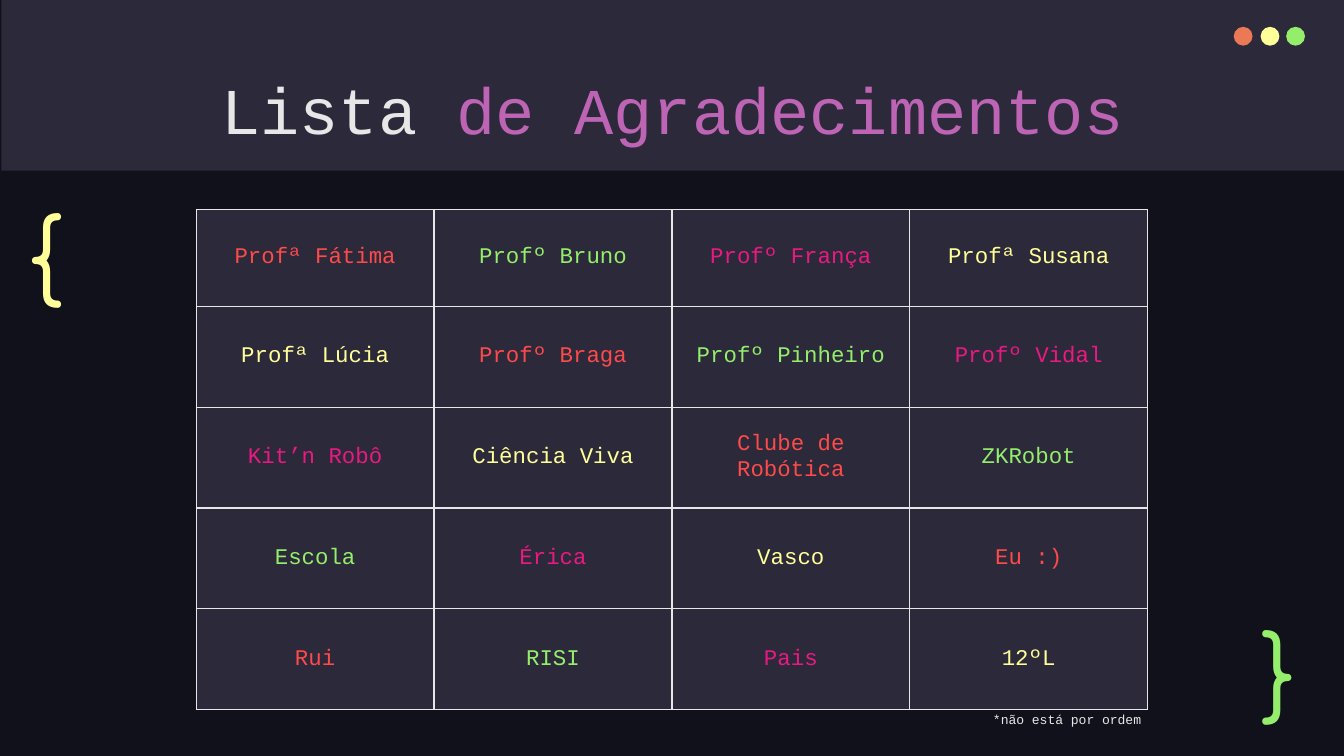
from pptx import Presentation
from pptx.dml.color import RGBColor
from pptx.enum.shapes import MSO_SHAPE as Shape
from pptx.enum.text import MSO_ANCHOR as Anchor, PP_ALIGN as Align
from pptx.oxml import parse_xml
from pptx.oxml.ns import nsdecls
from pptx.util import Inches, Pt

THEME = {
    "background": "10111A", "panel": "2C293A", "light": "E7E7E7",
    "purple": "BD64B5", "orange": "EC7955", "red": "FD4A4A",
    "green": "94EE6B", "pink": "E81A81", "yellow": "FFFF99",
    "code_font": "Courier New", "brace_font": "Comfortaa",
    "title_size": 35, "cell_size": 12, "brace_size": 50, "note_size": 7,
    "border": 0.75,
}

TITLE = [("Lista ", "light"), ("de Agradecimentos", "purple")]
THANKS = [
    [("Profª Fátima", "red"), ("Profº Bruno", "green"),
     ("Profº França", "pink"), ("Profª Susana", "yellow")],
    [("Profª Lúcia", "yellow"), ("Profº Braga", "red"),
     ("Profº Pinheiro", "green"), ("Profº Vidal", "pink")],
    [("Kit’n Robô", "pink"), ("Ciência Viva", "yellow"),
     ("Clube de Robótica", "red"), ("ZKRobot", "green")],
    [("Escola", "green"), ("Érica", "pink"),
     ("Vasco", "yellow"), ("Eu :)", "red")],
    [("Rui", "red"), ("RISI", "green"),
     ("Pais", "pink"), ("12ºL", "yellow")],
]
NOTE = [("*não está por ordem", "light")]
BRACES = [("{", "yellow", (0.11, 1.34, 0.77, 0.95)),
          ("}", "green", (9.29, 4.44, 0.57, 0.83))]
DOTS = [("orange", 9.18), ("yellow", 9.38), ("green", 9.57)]

SLIDE_WIDTH = 10
SLIDE_HEIGHT = SLIDE_WIDTH * 9 / 16
TABLE_LEFT, TABLE_TOP = 1.46, 1.56
COLUMN_WIDTH = 1.77
ROW_HEIGHTS = [0.72] + [0.75] * 4


def color(name):
    return RGBColor.from_string(THEME[name])


def add_shape(page, kind, area, fill):
    shape = page.shapes.add_shape(kind, *map(Inches, area))
    shape.shadow.inherit = False
    shape.fill.solid()
    shape.fill.fore_color.rgb = color(fill)
    shape.line.fill.background()


def write(para, runs, font, size, align):
    para.alignment = align
    para.font.name = THEME[font]
    para.font.size = Pt(THEME[size])
    for text, tone in runs:
        span = para.add_run()
        span.text = text
        span.font.color.rgb = color(tone)


def add_text(page, area, runs, font, size, align=Align.CENTER, anchor=Anchor.MIDDLE):
    box = page.shapes.add_textbox(*map(Inches, area))
    frame = box.text_frame
    frame.word_wrap = True
    frame.vertical_anchor = anchor
    frame.margin_left = frame.margin_right = Inches(0.1)
    frame.margin_top = frame.margin_bottom = Inches(0.1)
    write(frame.paragraphs[0], runs, font, size, align)


def add_borders(cell):
    properties = cell._tc.get_or_add_tcPr()
    for side in ("lnL", "lnR", "lnT", "lnB"):
        properties.append(parse_xml(
            f'<a:{side} {nsdecls("a")} w="{Pt(THEME["border"])}"><a:solidFill>'
            f'<a:srgbClr val="{THEME["light"]}"/></a:solidFill></a:{side}>'))


def add_thanks(page):
    columns = len(THANKS[0])
    table = page.shapes.add_table(
        len(THANKS), columns, Inches(TABLE_LEFT), Inches(TABLE_TOP),
        Inches(columns * COLUMN_WIDTH), Inches(sum(ROW_HEIGHTS))).table
    table.first_row = table.horz_banding = False
    for column in table.columns:
        column.width = Inches(COLUMN_WIDTH)
    for row, height in zip(table.rows, ROW_HEIGHTS):
        row.height = Inches(height)
    for cell, entry in zip(table.iter_cells(), sum(THANKS, [])):
        add_borders(cell)
        cell.fill.solid()
        cell.fill.fore_color.rgb = color("panel")
        cell.vertical_anchor = Anchor.MIDDLE
        cell.margin_left = cell.margin_right = Inches(0.1)
        cell.margin_top = cell.margin_bottom = Inches(0.07)
        write(cell.text_frame.paragraphs[0], [entry], "code_font", "cell_size", Align.CENTER)


def main():
    deck = Presentation()
    deck.slide_width, deck.slide_height = Inches(SLIDE_WIDTH), Inches(SLIDE_HEIGHT)
    page = deck.slides.add_slide(deck.slide_layouts[6])
    page.background.fill.solid()
    page.background.fill.fore_color.rgb = color("background")

    add_shape(page, Shape.RECTANGLE, (0.01, 0, SLIDE_WIDTH, 1.27), "panel")
    for tone, left in DOTS:
        add_shape(page, Shape.OVAL, (left, 0.2, 0.14, 0.14), tone)
    add_text(page, (0.79, 0.49, 8.43, 0.63), TITLE, "code_font", "title_size")
    add_thanks(page)
    for text, tone, area in BRACES:
        add_text(page, area, [(text, tone)], "brace_font", "brace_size",
                 Align.LEFT, Anchor.TOP)
    add_text(page, (7.26, 5.27, 1.36, 0.17), NOTE, "code_font", "note_size")
    deck.save("out.pptx")


if __name__ == "__main__":
    main()
